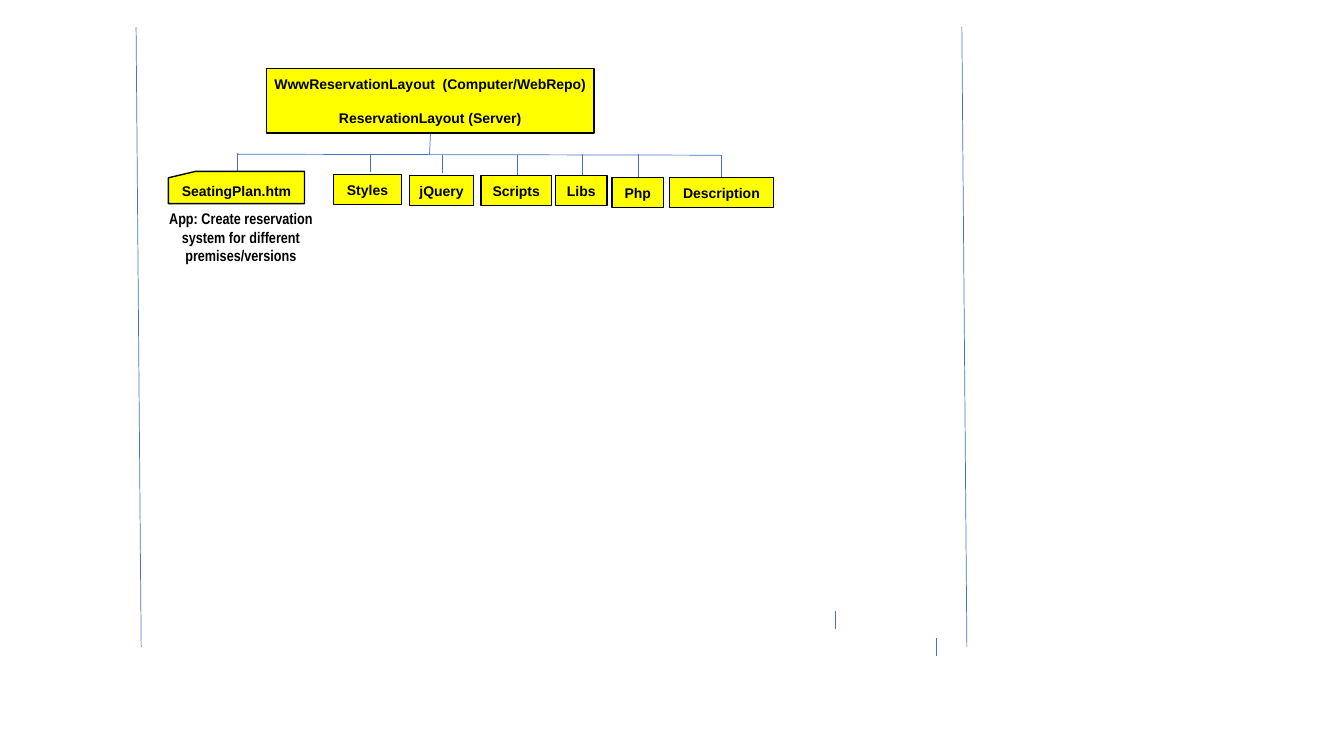
from dataclasses import dataclass

from lxml.etree import SubElement
from pptx import Presentation
from pptx.dml.color import RGBColor as Color
from pptx.enum.shapes import MSO_CONNECTOR as Link, MSO_SHAPE as Kind
from pptx.enum.text import MSO_ANCHOR as Anchor, MSO_AUTO_SIZE as Fit, PP_ALIGN as Align
from pptx.oxml.ns import qn
from pptx.slide import Slide
from pptx.text.text import TextFrame
from pptx.util import Inches, Pt


@dataclass(frozen=True)
class Theme:
    fill: Color = Color(0xFF, 0xFF, 0x00)
    ink: Color = Color(0x00, 0x00, 0x00)
    wire: Color = Color(0x44, 0x72, 0xC4)
    font: str = "Arial"
    narrow: str = "Arial Narrow"
    label: float = 10
    note: float = 11
    edge: float = 1
    thin: float = 0.5
    gap: float = 12


@dataclass(frozen=True)
class Box:
    text: str
    left: float
    top: float
    width: float
    height: float = 0.3
    kind: Kind = Kind.RECTANGLE


@dataclass(frozen=True)
class Line:
    x1: float
    y1: float
    x2: float
    y2: float


THEME = Theme()

BOXES = [
    Box("WwwReservationLayout  (Computer/WebRepo)\nReservationLayout (Server)", 2.64, 0.68, 3.25, 0.64),
    Box("SeatingPlan.htm", 1.67, 1.7, 1.35, 0.32, Kind.FLOWCHART_CARD),
    Box("Styles", 3.31, 1.73, 0.67),
    Box("jQuery", 4.06, 1.74, 0.64),
    Box("Scripts", 4.77, 1.74, 0.7),
    Box("Libs", 5.51, 1.74, 0.51),
    Box("Php", 6.07, 1.76, 0.51),
    Box("Description", 6.64, 1.76, 1.03),
]
NOTE = Box("App: Create reservation system for different premises/versions", 1.43, 2.03, 1.92, 0.66)

TRUNK = [Line(4.26, 1.54, 4.27, 1.32), Line(2.35, 1.53, 7.15, 1.54)]
DROPS = [
    Line(x, low, x, high)
    for x, low, high in [
        (2.35, 1.7, 1.52), (3.67, 1.71, 1.53), (4.39, 1.72, 1.54), (5.13, 1.76, 1.54),
        (5.78, 1.76, 1.53), (6.33, 1.77, 1.53), (7.15, 1.76, 1.54),
    ]
]
SIDES = [Line(x, 6.42, x - 0.05, 0.27) for x in (1.4, 9.59)]
TICKS = [Line(x, low, x, low - 0.18) for x, low in ((8.29, 6.24), (9.29, 6.51))]


def write(frame: TextFrame, text: str, font: str, size: float) -> None:
    frame.text = text
    for row, para in enumerate(frame.paragraphs):
        para.alignment = Align.CENTER
        para.space_before = Pt(THEME.gap if row else 0)
        for run in para.runs:
            run.font.name = font
            run.font.size = Pt(size)
            run.font.bold = True
            run.font.color.rgb = THEME.ink


def draw_line(slide: Slide, line: Line) -> None:
    ends = [Inches(v) for v in (line.x1, line.y1, line.x2, line.y2)]
    wire = slide.shapes.add_connector(Link.STRAIGHT, *ends)
    wire.line.color.rgb = THEME.wire
    wire.line.width = Pt(THEME.thin)
    SubElement(wire._element.spPr, qn("a:effectLst"))


def draw_box(slide: Slide, box: Box) -> None:
    place = [Inches(v) for v in (box.left, box.top, box.width, box.height)]
    shape = slide.shapes.add_shape(box.kind, *place)
    shape.shadow.inherit = False
    shape.fill.solid()
    shape.fill.fore_color.rgb = THEME.fill
    shape.line.color.rgb = THEME.ink
    shape.line.width = Pt(THEME.edge)
    frame = shape.text_frame
    frame.word_wrap = False
    frame.vertical_anchor = Anchor.MIDDLE
    frame.margin_top = frame.margin_bottom = 0
    write(frame, box.text, THEME.font, THEME.label)


def draw_note(slide: Slide, note: Box) -> None:
    place = [Inches(v) for v in (note.left, note.top, note.width, note.height)]
    frame = slide.shapes.add_textbox(*place).text_frame
    frame.word_wrap = True
    frame.auto_size = Fit.SHAPE_TO_FIT_TEXT
    write(frame, note.text, THEME.narrow, THEME.note)


def main() -> None:
    deck = Presentation()
    deck.slide_width, deck.slide_height = Inches(13.33), Inches(7.5)
    slide = deck.slides.add_slide(deck.slide_layouts[6])
    for line in TRUNK + DROPS + SIDES + TICKS:
        draw_line(slide, line)
    for box in BOXES:
        draw_box(slide, box)
    draw_note(slide, NOTE)
    deck.save("out.pptx")


if __name__ == "__main__":
    main()
